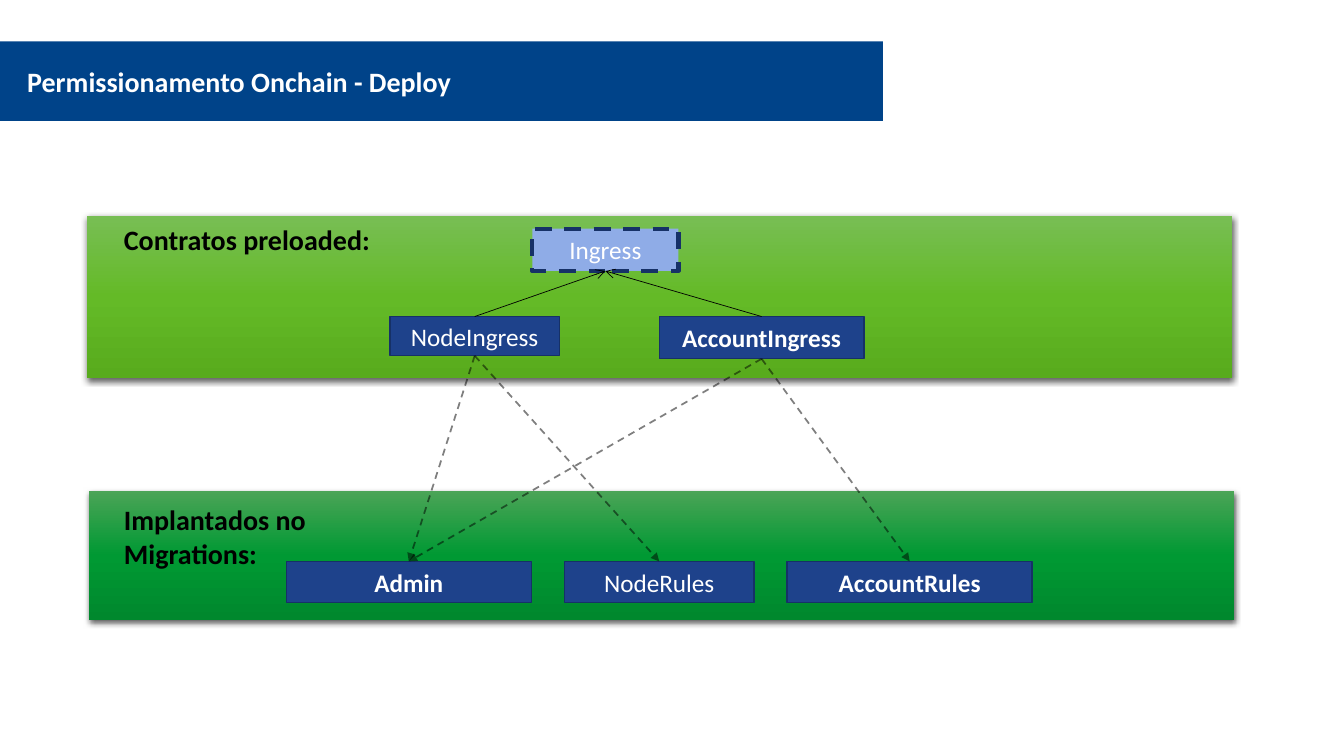
from dataclasses import dataclass

from lxml.etree import SubElement as Sub
from pptx import Presentation
from pptx.dml.color import RGBColor as RGB
from pptx.enum.dml import MSO_LINE as Dash
from pptx.enum.shapes import MSO_CONNECTOR as Conn, MSO_SHAPE as Kind
from pptx.enum.text import MSO_ANCHOR as Anchor, MSO_AUTO_SIZE as Auto, PP_ALIGN as Align
from pptx.oxml.ns import qn
from pptx.util import Pt

TOP, BOTTOM = 0, 2


@dataclass(frozen=True)
class Theme:
    font: str = "Calibri"
    head: int = 20
    body: int = 18
    white: str = "FFFFFF"
    black: str = "000000"
    bar: str = "004389"
    node: str = "1E428B"
    pale: str = "8FACE7"
    edge: str = "163167"
    lime: tuple = ("78BE54", "64BA27", "58AB1D")
    green: tuple = ("4BA457", "009933", "00882D")


def color(node, code, alpha=None):
    tag = Sub(node, qn("a:srgbClr"), val=code)
    if alpha:
        Sub(tag, qn("a:alpha"), val=str(alpha * 1000))


def write(frame, text, *, font, size, color, bold=False, align=Align.LEFT,
          anchor=Anchor.TOP, wrap=True, auto=Auto.NONE):
    frame.word_wrap = wrap
    frame.auto_size = auto
    frame.vertical_anchor = anchor
    para = frame.paragraphs[0]
    para.alignment = align
    run = para.add_run()
    run.text = text
    run.font.name = font
    run.font.size = Pt(size)
    run.font.bold = bold
    run.font.color.rgb = RGB.from_string(color)


class Deck:
    def __init__(self, slide, theme):
        self.slide = slide
        self.shapes = slide.shapes
        self.theme = theme

    def rect(self, box, fill=None):
        shape = self.shapes.add_shape(Kind.RECTANGLE, *map(Pt, box))
        shape.shadow.inherit = False
        shape.line.fill.background()
        if fill:
            shape.fill.solid()
            shape.fill.fore_color.rgb = RGB.from_string(fill)
        return shape

    def panel(self, box, tones):
        """Draw a band with a vertical three-tone gradient and a soft shadow."""
        shape = self.rect(box)
        shape.fill.gradient()
        shape.fill.gradient_angle = 270
        props = shape.element.spPr
        stops = props.find(qn("a:gradFill")).find(qn("a:gsLst"))
        for stop in list(stops):
            stops.remove(stop)
        for i, tone in enumerate(tones):
            color(Sub(stops, qn("a:gs"), pos=str(i * 50000)), tone)
        shade = Sub(props.find(qn("a:effectLst")), qn("a:outerShdw"),
                    blurRad=str(Pt(4.5)), dist=str(Pt(1.5)),
                    dir="5400000", rotWithShape="0")
        color(shade, self.theme.black, 63)

    def title(self, text, box):
        t = self.theme
        shape = self.shapes.title
        shape.left, shape.top, shape.width, shape.height = map(Pt, box)
        frame = shape.text_frame
        frame.margin_left = frame.margin_right = Pt(5)
        frame.margin_top = frame.margin_bottom = Pt(2.9)
        write(frame, text, font=t.font, size=t.head, color=t.white, bold=True,
              wrap=False, auto=Auto.SHAPE_TO_FIT_TEXT)
        # Lift the title above the bar
        shape.element.getparent().append(shape.element)

    def label(self, text, box):
        t = self.theme
        shape = self.shapes.add_textbox(*map(Pt, box))
        write(shape.text_frame, text, font=t.font, size=t.head, color=t.black,
              bold=True, auto=Auto.SHAPE_TO_FIT_TEXT)

    def node(self, text, box, bold=False, base=False):
        """Draw a contract box; base marks the dashed parent contract."""
        t = self.theme
        shape = self.rect(box, t.pale if base else t.node)
        shape.line.color.rgb = RGB.from_string(t.edge)
        shape.line.width = Pt(3 if base else 1)
        if base:
            shape.line.dash_style = Dash.DASH
        write(shape.text_frame, text, font=t.font, size=t.body, color=t.white,
              bold=bold, align=Align.CENTER, anchor=Anchor.MIDDLE)
        return shape

    def link(self, start, end, sides, width, head, dash=None, alpha=None):
        line = self.shapes.add_connector(Conn.STRAIGHT, 0, 0, 0, 0)
        line.begin_connect(start, sides[0])
        line.end_connect(end, sides[1])
        line.line.color.rgb = RGB.from_string(self.theme.black)
        line.line.width = Pt(width)
        if dash:
            line.line.dash_style = dash
        props = line.element.spPr
        stroke = props.find(qn("a:ln"))
        if alpha:
            tone = stroke.find(qn("a:solidFill"))[0]
            Sub(tone, qn("a:alpha"), val=str(alpha * 1000))
        Sub(stroke, qn("a:tailEnd"), type=head)
        Sub(props, qn("a:effectLst"))


def main():
    prs = Presentation()
    prs.slide_width, prs.slide_height = Pt(960), Pt(540)
    theme = Theme()
    deck = Deck(prs.slides.add_slide(prs.slide_layouts[5]), theme)

    deck.panel((62, 154.1, 818, 116), theme.lime)
    deck.panel((63.3, 350.6, 818, 92.2), theme.green)
    deck.rect((0, 29.5, 630.7, 56.9), theme.bar)
    deck.title("Permissionamento Onchain - Deploy", (14.4, 43.2, 316, 29.5))

    high, low = 226.1, 401
    node = deck.node("NodeIngress", (278.6, high, 121, 28))
    base = deck.node("Ingress", (380.2, 163.4, 104.4, 30.2), base=True)
    account = deck.node("AccountIngress", (470.9, high, 146.2, 30.2), bold=True)
    for child in (node, account):
        deck.link(child, base, (TOP, BOTTOM), 0.5, "arrow")

    rules = deck.node("NodeRules", (403.2, low, 135.4, 29.5))
    access = deck.node("AccountRules", (562.3, low, 175, 29.5), bold=True)
    admin = deck.node("Admin", (204.5, low, 175, 29.5), bold=True)

    deck.label("Contratos preloaded:", (81.4, 155.5, 229.7, 31.5))
    deck.label("Implantados no Migrations:", (81.4, 355.7, 229.7, 55.5))

    for start, end in ((node, admin), (node, rules), (account, access), (account, admin)):
        deck.link(start, end, (BOTTOM, TOP), 1.25, "triangle", Dash.DASH, 50)

    prs.save("out.pptx")


if __name__ == "__main__":
    main()
